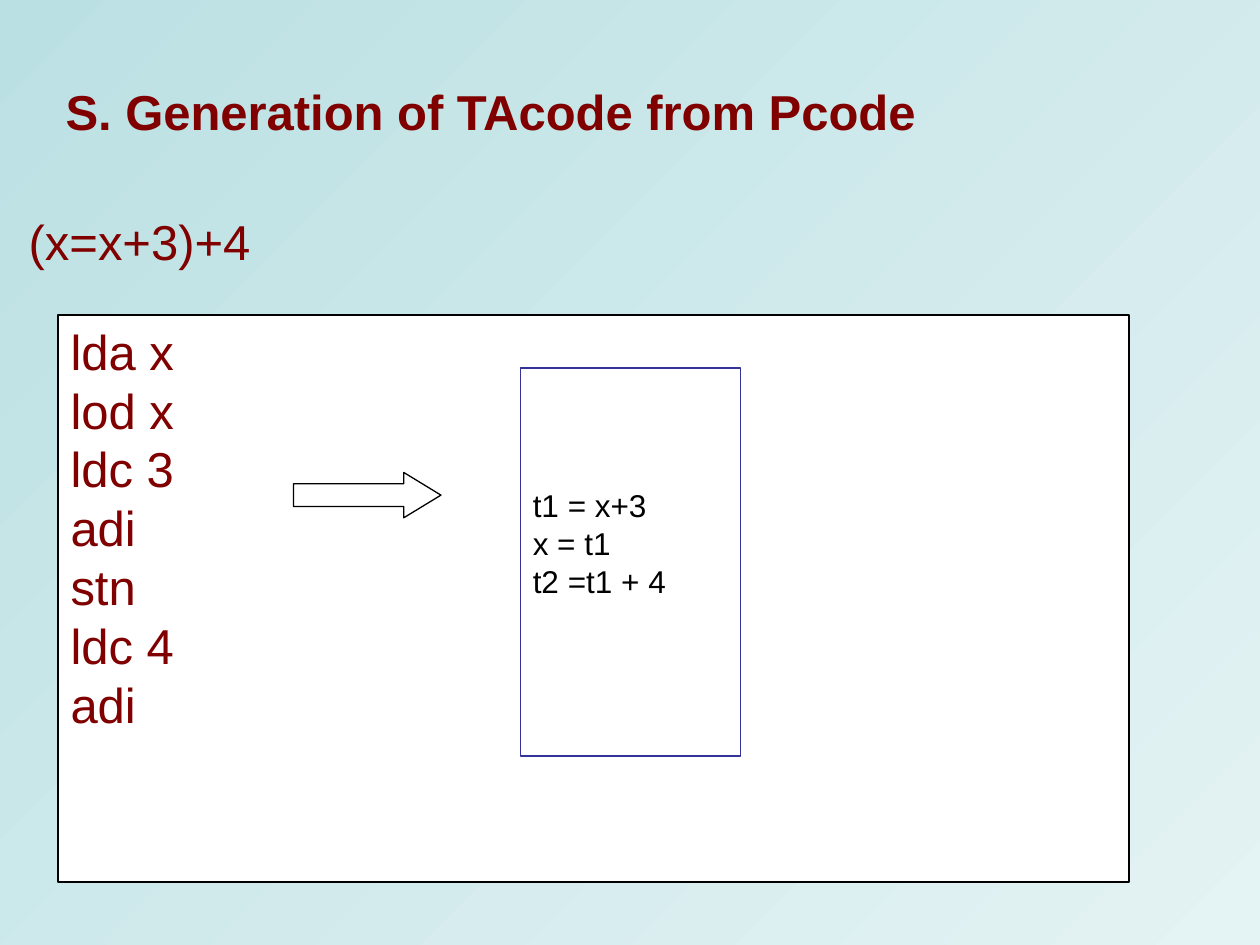
from dataclasses import dataclass
from typing import Optional

from lxml.etree import SubElement
from pptx import Presentation
from pptx.dml.color import RGBColor as Rgb
from pptx.enum.shapes import MSO_SHAPE as Kind
from pptx.enum.text import MSO_ANCHOR as Anchor, MSO_AUTO_SIZE as Auto, PP_ALIGN as Align
from pptx.oxml.ns import qn
from pptx.util import Inches, Pt


@dataclass(frozen=True)
class Theme:
    font: str = "Arial"
    big: int = 28
    small: int = 18
    wine: str = "800000"
    black: str = "000000"
    white: str = "FFFFFF"
    navy: str = "333399"
    sky: tuple = ("BBE0E3", "E4F3F4")


@dataclass(frozen=True)
class Box:
    left: float
    top: float
    width: float
    height: float
    edge: Optional[str] = None


LOOK = Theme()
HEAD = Box(0.42, 0.42, 9.17, 0.92)
EXPR = Box(0.13, 1.58, 9.17, 0.67)
PCODE = Box(0.46, 2.5, 8.5, 4.5, LOOK.black)
ARROW = Box(2.33, 3.75, 1.17, 0.36, LOOK.black)
TACODE = Box(4.13, 2.92, 1.75, 3.08, LOOK.navy)
HANG = 0.38


def place(shape, box: Box) -> None:
    for name in ("left", "top", "width", "height"):
        setattr(shape, name, Inches(getattr(box, name)))


def paint(shape, box: Box) -> None:
    shape.fill.solid()
    shape.fill.fore_color.rgb = Rgb.from_string(LOOK.white)
    shape.line.color.rgb = Rgb.from_string(box.edge)
    shape.line.width = Pt(0.75)
    shape.shadow.inherit = False


def write(shape, lines: list[str], size: int, color: str, bold: bool = False,
          anchor=Anchor.MIDDLE, align=Align.LEFT, hang: float = 0,
          foot: float = 0.05) -> None:
    frame = shape.text_frame
    frame.text = "\n".join(lines)
    form = {"word_wrap": True, "auto_size": Auto.NONE, "vertical_anchor": anchor,
            "margin_left": Inches(0.1), "margin_right": Inches(0.1),
            "margin_top": Inches(0.05), "margin_bottom": Inches(foot)}
    for name, value in form.items():
        setattr(frame, name, value)
    for para in frame.paragraphs:
        if hang:
            # Hanging indent without a bullet
            props = para._p.get_or_add_pPr()
            props.set("marL", str(Inches(hang)))
            props.set("indent", str(-Inches(hang)))
            SubElement(props, qn("a:buNone"))
        for name, value in {"alignment": align, "line_spacing": 1.0,
                            "space_before": Pt(0)}.items():
            setattr(para, name, value)
        for name, value in {"name": LOOK.font, "size": Pt(size), "bold": bold}.items():
            setattr(para.font, name, value)
        para.font.color.rgb = Rgb.from_string(color)


def draw(slide, kind, box: Box):
    shape = slide.shapes.add_shape(kind, 0, 0, 0, 0)
    place(shape, box)
    paint(shape, box)
    return shape


def main() -> None:
    deck = Presentation()
    deck.slide_width, deck.slide_height = Inches(10), Inches(7.5)
    slide = deck.slides.add_slide(deck.slide_layouts[1])

    # Background, running from top left to bottom right
    back = slide.background.fill
    back.gradient()
    back.gradient_angle = 315
    for stop, tone in zip(back.gradient_stops, LOOK.sky):
        stop.color.rgb = Rgb.from_string(tone)

    # Title
    title = slide.shapes.title
    place(title, HEAD)
    write(title, ["S. Generation of TAcode from Pcode"], LOOK.big, LOOK.wine, bold=True)

    # P-code list
    body = slide.placeholders[1]
    place(body, PCODE)
    paint(body, PCODE)
    write(body, ["lda x", "lod x", "ldc 3", "adi", "stn", "ldc 4", "adi"],
          LOOK.big, LOOK.wine, anchor=Anchor.TOP, align=Align.JUSTIFY, hang=HANG)

    # Arrow to the three-address code
    arrow = draw(slide, Kind.RIGHT_ARROW, ARROW)
    arrow.adjustments[1] = 0.82

    # Three-address code, set a little above the middle
    code = draw(slide, Kind.RECTANGLE, TACODE)
    write(code, ["t1 = x+3", "x = t1", "t2 =t1 + 4"], LOOK.small, LOOK.black, foot=0.35)

    # Source expression
    expr = slide.shapes.add_textbox(0, 0, 0, 0)
    place(expr, EXPR)
    write(expr, ["(x=x+3)+4"], LOOK.big, LOOK.wine)

    deck.save("out.pptx")


if __name__ == "__main__":
    main()
